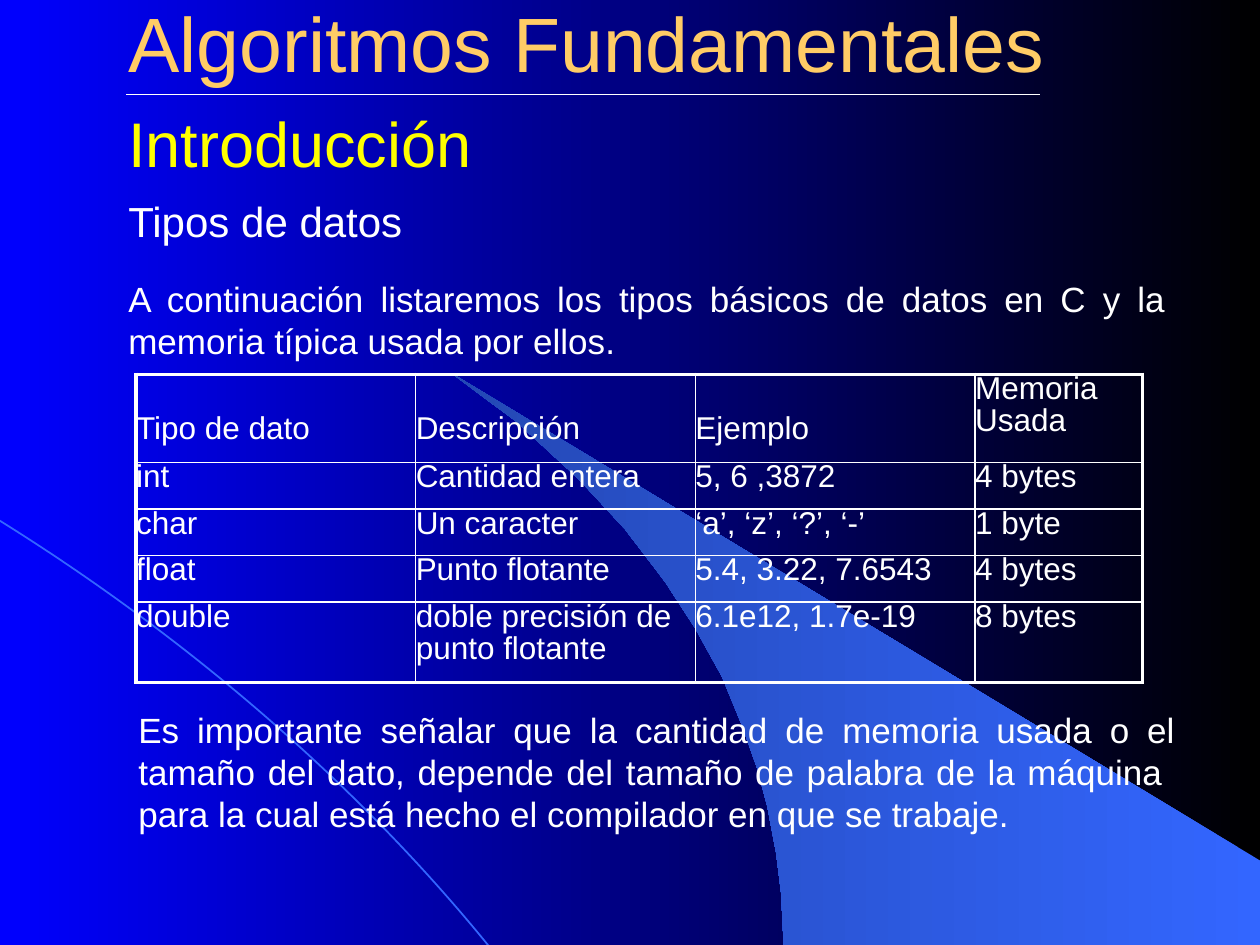
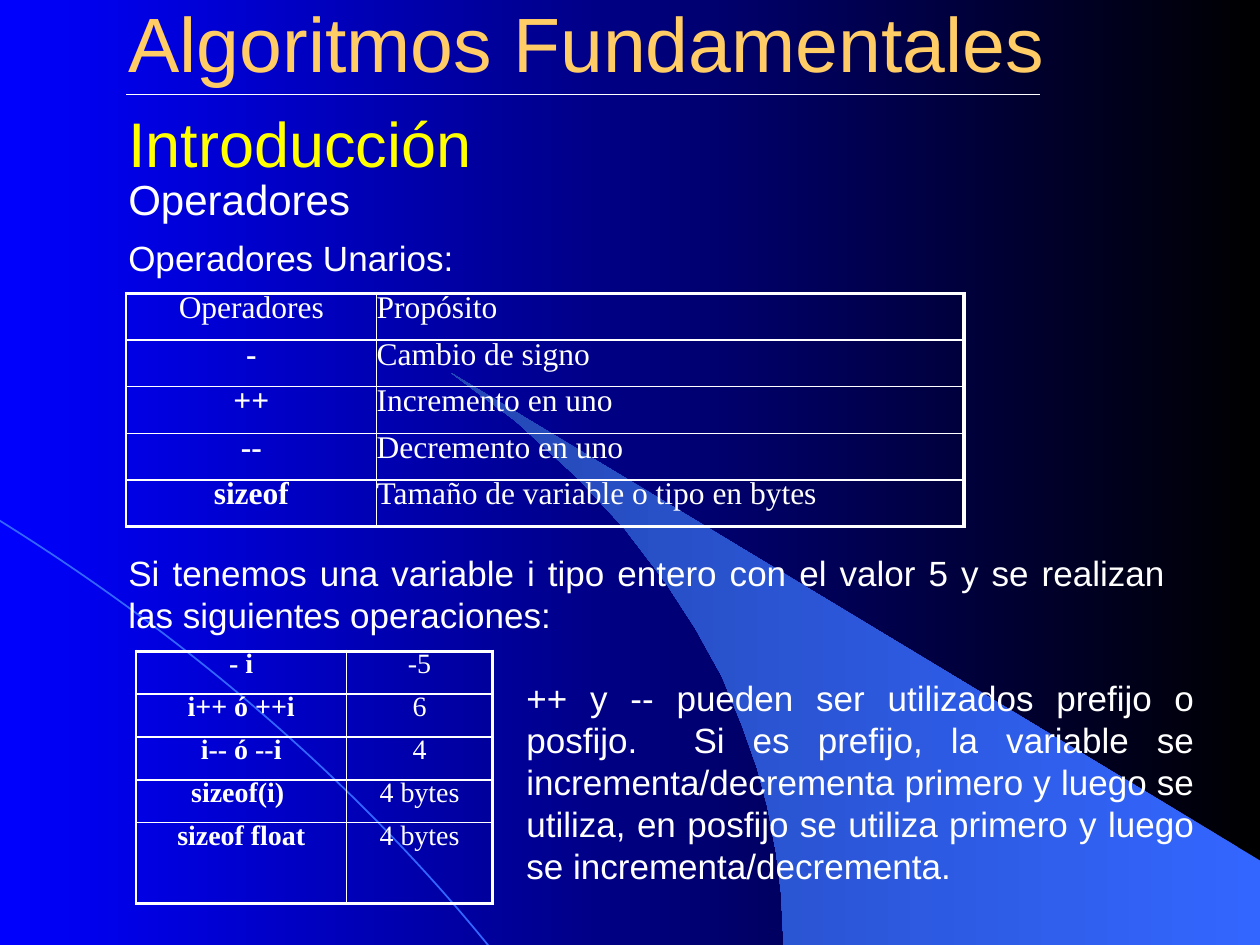
import pptx
import pptx.dml.color
import pptx.enum.shapes
import pptx.enum.text
import pptx.oxml
import pptx.oxml.ns
import pptx.util

Inches = pptx.util.Inches
Pt = pptx.util.Pt
ALIGN = pptx.enum.text.PP_ALIGN
ANCHOR = pptx.enum.text.MSO_ANCHOR
CONNECTOR = pptx.enum.shapes.MSO_CONNECTOR

WHITE, BLACK, BLUE = "FFFFFF", "000000", "0000FF"
GOLD, YELLOW = "FFCC66", "FFFF00"
BEAM_LIGHT, BEAM_DARK = "3366FF", "2448B4"
SANS, SERIF = "Arial", "Times New Roman"
OUTER, INNER = 2.25, 1
BEAM = [(6.22, 7.5), (10, 7.5), (10, 6.83), (3.58, 2.96), (3.86, 3.17), (4.09, 3.34),
        (4.34, 3.57), (4.59, 3.8), (4.96, 4.2), (5.28, 4.62), (5.52, 4.99), (5.73, 5.37),
        (5.89, 5.76), (6.01, 6.1), (6.09, 6.4), (6.16, 6.77), (6.2, 7.09)]


def color(code):
    """Turn a hex string into a colour."""
    return pptx.dml.color.RGBColor.from_string(code)


def inches(*values):
    """Turn several numbers into lengths."""
    return [Inches(value) for value in values]


def paint_gradient(fill, start, end):
    """Fill with a two-colour gradient running from right to left."""
    fill.gradient()
    fill.gradient_angle = 180
    for stop, code, position in zip(fill.gradient_stops, (start, end), (0, 1)):
        stop.color.rgb = color(code)
        stop.position = position


def write(frame, text, size=20, font=SANS, code=WHITE, bold=False, align=ALIGN.LEFT,
          spacing=1.0):
    """Write one formatted paragraph in a text frame."""
    frame.word_wrap = True
    paragraph = frame.paragraphs[0]
    paragraph.alignment = align
    paragraph.line_spacing = spacing
    run = paragraph.add_run()
    run.text = text
    run.font.size = Pt(size)
    run.font.name = font
    run.font.bold = bold
    run.font.color.rgb = color(code)


def add_text(slide, box, text, **style):
    """Add a text box."""
    write(slide.shapes.add_textbox(*inches(*box)).text_frame, text, **style)


def add_line(slide, kind, ends, code):
    """Add a thin connector without a shadow."""
    line = slide.shapes.add_connector(kind, *inches(*ends))
    line.line.color.rgb = color(code)
    line.line.width = Pt(1)
    properties = line._element.spPr
    properties.append(pptx.oxml.parse_xml(f"<a:effectLst {pptx.oxml.ns.nsdecls('a')}/>"))
    return line


def add_backdrop(slide):
    """Draw the beam of light and the arc."""
    points = [inches(*point) for point in BEAM]
    builder = slide.shapes.build_freeform(*points[0])
    builder.add_line_segments(points[1:], close=True)
    beam = builder.convert_to_shape()
    beam.shadow.inherit = False
    beam.line.fill.background()
    paint_gradient(beam.fill, BEAM_LIGHT, BEAM_DARK)
    arc = add_line(slide, CONNECTOR.CURVE, (-8.48, 1.6, 6.23, 13.41), BEAM_LIGHT)
    arc._element.spPr.prstGeom.set("prst", "curvedConnector2")


def add_heading(slide, box, title, section):
    """Place the title, its rule and the section name below it."""
    left, top, width, height = box
    heading = slide.shapes.title
    heading.left, heading.top, heading.width, heading.height = inches(*box)
    frame = heading.text_frame
    frame.auto_size = pptx.enum.text.MSO_AUTO_SIZE.NONE
    frame.vertical_anchor = ANCHOR.BOTTOM
    write(frame, title, size=44, code=GOLD)
    rule = top + height
    add_line(slide, CONNECTOR.STRAIGHT, (left + 0.08, rule, left + 7.33, rule), WHITE)
    add_text(slide, (left, rule + 0.17, width, 0.42), section,
             size=36, code=YELLOW, spacing=0.75)


def set_borders(cell, **widths):
    """Draw the white borders of a cell; sides are L, R, T and B."""
    properties = cell._tc.get_or_add_tcPr()
    for side, width in widths.items():
        properties.append(pptx.oxml.parse_xml(
            f'<a:ln{side} {pptx.oxml.ns.nsdecls("a")} w="{Pt(width)}">'
            f'<a:solidFill><a:srgbClr val="{WHITE}"/></a:solidFill></a:ln{side}>'))


def add_grid(slide, origin, widths, heights, rows, style, left_border=INNER):
    """Add a bordered table; style gives the text format for a row and column."""
    grid = slide.shapes.add_table(len(heights), len(widths),
                                  *inches(*origin, sum(widths), sum(heights))).table
    grid.first_row = grid.horz_banding = False
    for column, width in zip(grid.columns, widths):
        column.width = Inches(width)
    last_row, last_column = len(heights) - 1, len(widths) - 1
    for r, (height, texts) in enumerate(zip(heights, rows)):
        grid.rows[r].height = Inches(height)
        for c, text in enumerate(texts):
            cell = grid.cell(r, c)
            cell.margin_left = cell.margin_right = cell.margin_top = cell.margin_bottom = 0
            set_borders(cell,
                        L=INNER if c else left_border,
                        R=OUTER if c == last_column else INNER,
                        T=INNER if r else OUTER,
                        B=OUTER if r == last_row else INNER)
            cell.fill.background()
            write(cell.text_frame, text, spacing=0.9, **style(r, c))
    return grid


def start_slide(deck):
    """Add a slide with the shared backdrop and heading."""
    slide = deck.slides.add_slide(deck.slide_layouts[5])
    add_backdrop(slide)
    add_heading(slide, (0.92, 0.17, 8.5, 0.58), "Algoritmos Fundamentales", "Introducción")
    return slide


def build_data_types(deck):
    """Build the slide on basic data types."""
    slide = start_slide(deck)
    add_text(slide, (0.92, 1.5, 2.39, 0.5), "Tipos de datos", size=24)
    add_text(slide, (0.92, 2.15, 8.43, 0.77),
             "A continuación listaremos los tipos básicos de datos en C y la memoria "
             "típica usada por ellos.", align=ALIGN.JUSTIFY)
    types = [
        ("Tipo de dato", "Descripción", "Ejemplo", "Memoria Usada"),
        ("int", "Cantidad entera", "5, 6 ,3872", "4 bytes"),
        ("char", "Un caracter", "‘a’, ‘z’, ‘?’, ‘-’", "1 byte"),
        ("float", "Punto flotante", "5.4, 3.22, 7.6543", "4 bytes"),
        ("double", "doble precisión de punto flotante", "6.1e12, 1.7e-19", "8 bytes"),
    ]
    grid = add_grid(slide, (1.08, 2.97), [2.22] * 3 + [1.33], [0.7] + [0.37] * 3 + [0.64],
                    types, lambda r, c: {"size": 18}, left_border=OUTER)
    for c in range(3):
        header = grid.cell(0, c)
        header.vertical_anchor = ANCHOR.BOTTOM
        header.margin_bottom = Inches(0.13)
    add_text(slide, (1, 5.57, 8.43, 1.1),
             "Es importante señalar que la cantidad de memoria usada o el tamaño del dato, "
             "depende del tamaño de palabra de la máquina  para la cual está hecho el "
             "compilador en que se trabaje.", align=ALIGN.JUSTIFY)


def operator_style(r, c):
    """Format the table of operators."""
    return {"size": 18, "font": SERIF, "bold": r > 0 and c == 0,
            "align": ALIGN.LEFT if c else ALIGN.CENTER}


def result_style(r, c):
    """Format the table of results."""
    return {"size": 16, "font": SERIF, "bold": c == 0, "align": ALIGN.CENTER}


def build_operators(deck):
    """Build the slide on unary operators."""
    slide = start_slide(deck)
    add_text(slide, (0.92, 1.33, 1.96, 0.5), "Operadores", size=24)
    add_text(slide, (0.92, 1.83, 8.43, 0.43), "Operadores Unarios:", align=ALIGN.JUSTIFY)
    operators = [
        ("Operadores", "Propósito"),
        ("-", "Cambio de signo"),
        ("++", "Incremento en uno"),
        ("--", "Decremento en uno"),
        ("sizeof", "Tamaño de variable o tipo en bytes"),
    ]
    add_grid(slide, (1, 2.33), [1.99, 4.66], [0.37] * 5, operators, operator_style)
    add_text(slide, (0.92, 4.33, 8.43, 0.77),
             "Si tenemos una variable i tipo entero con el valor 5 y se realizan las "
             "siguientes operaciones:", align=ALIGN.JUSTIFY)
    results = [
        ("- i", "-5"),
        ("i++ ó ++i", "6"),
        ("i-- ó --i", "4"),
        ("sizeof(i) ", "4 bytes"),
        ("sizeof float", "4 bytes"),
    ]
    add_grid(slide, (1.08, 5.17), [1.67, 1.16], [0.34] * 4 + [0.64], results, result_style)
    add_text(slide, (4.08, 5.32, 5.5, 1.77),
             "++ y -- pueden ser utilizados prefijo o posfijo.  Si es prefijo, la variable "
             "se incrementa/decrementa primero y luego se utiliza, en posfijo se utiliza "
             "primero y luego se incrementa/decrementa.", align=ALIGN.JUSTIFY)


def main():
    """Build and save the deck."""
    deck = pptx.Presentation()
    deck.slide_width, deck.slide_height = inches(10, 7.5)
    paint_gradient(deck.slide_master.background.fill, BLACK, BLUE)
    build_data_types(deck)
    build_operators(deck)
    deck.save("out.pptx")


if __name__ == "__main__":
    main()
